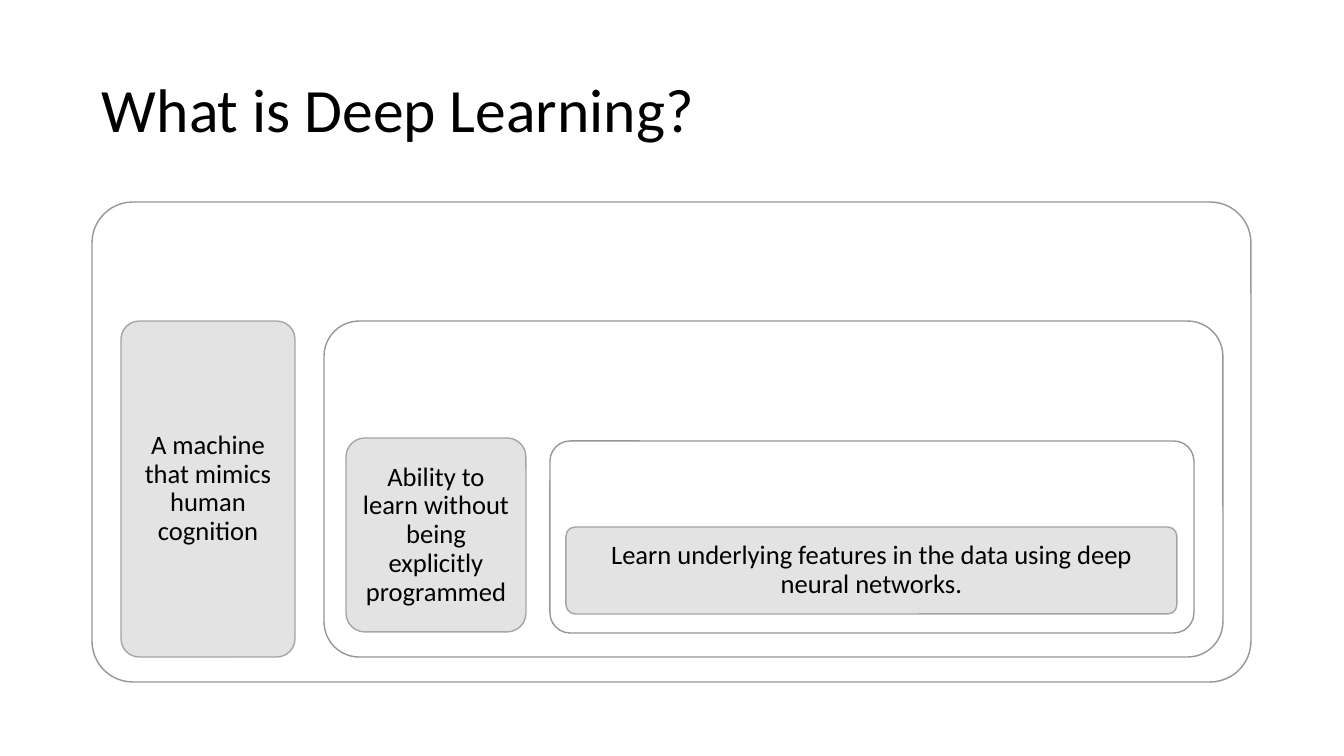
from dataclasses import dataclass

from lxml.etree import SubElement
from pptx import Presentation
from pptx.dml.color import RGBColor
from pptx.enum.shapes import MSO_SHAPE
from pptx.enum.text import MSO_ANCHOR, PP_ALIGN
from pptx.oxml.ns import qn
from pptx.util import Pt

PX = 914400 / 100.8


@dataclass(frozen=True)
class Theme:
    """Colours, font and type sizes of the slide."""
    font: str = "Calibri"
    text: str = "000000"
    frame_fill: str = "FFFFFF"
    frame_line: str = "969696"
    card_fill: str = "E1E1E1"
    card_line: str = "A5A5A5"
    card_alpha: int = 90
    title_size: int = 44
    card_size: int = 19


theme = Theme()


def px(*lengths):
    """Turn whole pixels into a list of EMU lengths."""
    return [round(length * PX) for length in lengths]


def write(frame, wording, size, align):
    """Set one middle-anchored, wrapped paragraph in a text frame."""
    frame.word_wrap = True
    frame.vertical_anchor = MSO_ANCHOR.MIDDLE
    paragraph = frame.paragraphs[0]
    paragraph.text = wording
    paragraph.alignment = align
    paragraph.line_spacing = 0.9
    paragraph.font.name = theme.font
    paragraph.font.size = Pt(size)
    paragraph.font.color.rgb = RGBColor.from_string(theme.text)


deck = Presentation()
deck.slide_width, deck.slide_height = px(1344, 756)
slide = deck.slides.add_slide(deck.slide_layouts[6])

title = slide.shapes.add_textbox(*px(92, 40, 1159, 146))
write(title.text_frame, "What is Deep Learning?", theme.title_size, PP_ALIGN.LEFT)

# Nested levels, outermost first: a frame, then the card describing it.
levels = [
    ((92, 202, 1159, 480), 0.085, (121, 321, 174, 336),
     "A machine that mimics human cognition"),
    ((324, 321, 899, 336), 0.105, (346, 438, 180, 194),
     "Ability to learn without being explicitly programmed"),
    ((550, 441, 644, 192), 0.105, (566, 527, 611, 87),
     "Learn underlying features in the data using deep neural networks."),
]

for frame_box, frame_corner, card_box, description in levels:
    for box, corner, fill, line, wording in (
        (frame_box, frame_corner, theme.frame_fill, theme.frame_line, None),
        (card_box, 0.105, theme.card_fill, theme.card_line, description),
    ):
        panel = slide.shapes.add_shape(MSO_SHAPE.ROUNDED_RECTANGLE, *px(*box))
        panel.adjustments[0] = corner
        panel.shadow.inherit = False
        panel.fill.solid()
        panel.fill.fore_color.rgb = RGBColor.from_string(fill)
        panel.line.color.rgb = RGBColor.from_string(line)
        panel.line.width = Pt(1)
        if wording:
            color = panel.fill._xPr.find(qn("a:solidFill"))[0]
            SubElement(color, qn("a:alpha"), val=str(theme.card_alpha * 1000))
            text = panel.text_frame
            text.margin_left, text.margin_top, text.margin_right, text.margin_bottom = px(8, 8, 8, 8)
            write(text, wording, theme.card_size, PP_ALIGN.CENTER)

deck.save("out.pptx")
